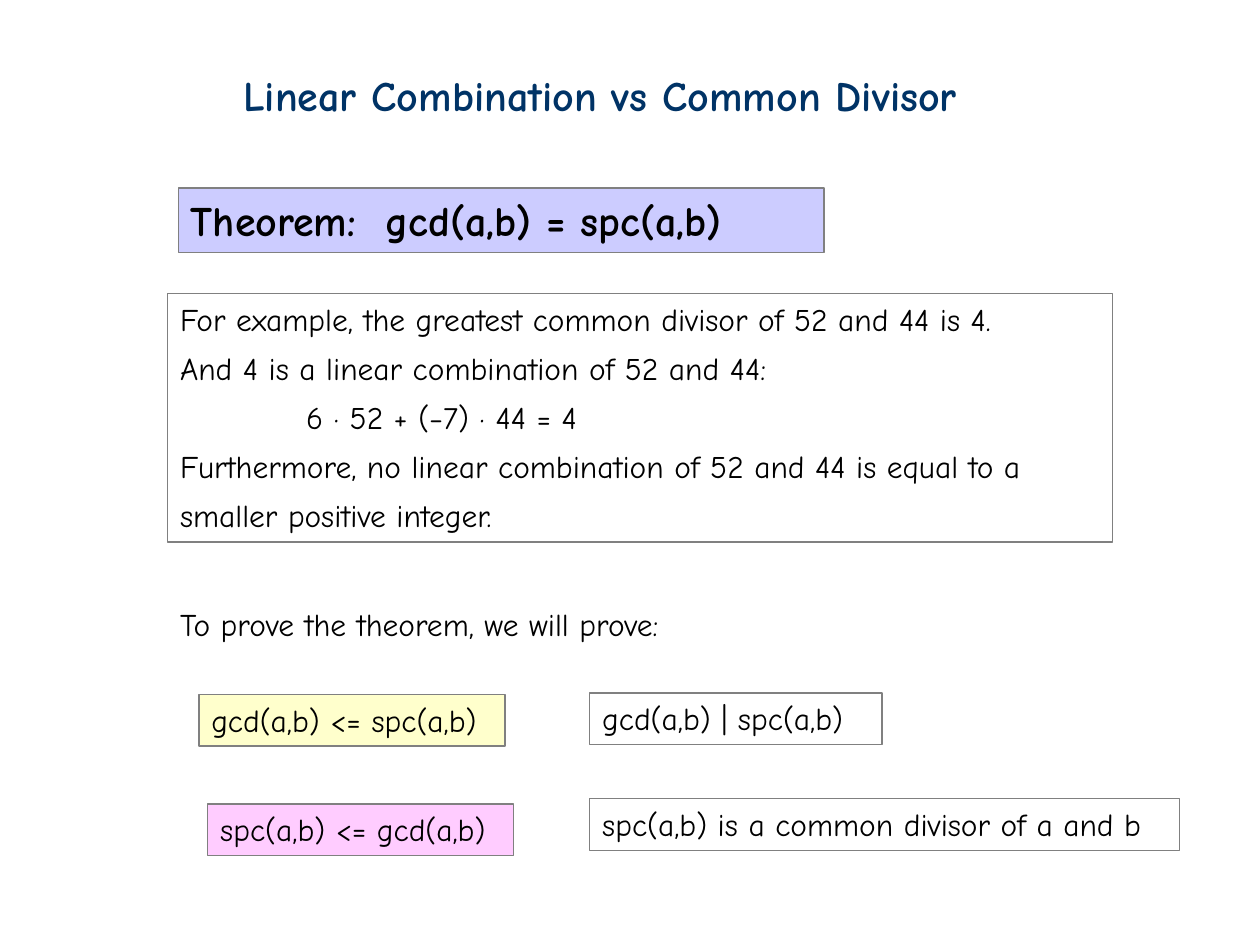
import pptx
import pptx.dml.color
import pptx.enum.shapes
import pptx.enum.text
import pptx.oxml
import pptx.oxml.ns
import pptx.util
from pptx.util import Cm

FONT = "Comic Neue"
BLACK = "000000"
GREY = "808080"
NAVY = "003366"
LILAC = "CCCCFF"
YELLOW = "FFFFCC"
PINK = "FFCCFF"
EXAMPLE = [
    "For example, the greatest common divisor of 52 and 44 is 4.",
    "And 4 is a linear combination of 52 and 44:",
    "6 · 52 + (−7) · 44 = 4",
    "Furthermore, no linear combination of 52 and 44 is equal to a smaller positive integer.",
]


def rgb(value):
    """Return the colour for a hex string."""
    return pptx.dml.color.RGBColor.from_string(value)


def place(shape, left, top, width, height):
    """Set the position and size of a shape in centimetres."""
    shape.left, shape.top = Cm(left), Cm(top)
    shape.width, shape.height = Cm(width), Cm(height)


def write(shape, lines, size=18, color=BLACK, bold=False):
    """Fill a shape with left-aligned paragraphs set from the top."""
    frame = shape.text_frame
    frame.text = "\n".join(lines)
    frame.word_wrap = True
    frame.auto_size = pptx.enum.text.MSO_AUTO_SIZE.NONE
    frame.vertical_anchor = pptx.enum.text.MSO_ANCHOR.TOP
    for para in frame.paragraphs:
        para.alignment = pptx.enum.text.PP_ALIGN.LEFT
        for span in para.runs:
            span.font.name = FONT
            span.font.size = pptx.util.Pt(size)
            span.font.bold = bold
            span.font.color.rgb = rgb(color)


def add_title(page, text):
    """Place and format the title placeholder."""
    title = page.shapes.title
    place(title, 4.65, 1.27, 16.05, 1.27)
    write(title, [text], size=24, color=NAVY, bold=True)
    para = title.text_frame.paragraphs[0]
    para.line_spacing = 1.0
    para.space_before = pptx.util.Pt(0)


def add_box(page, area, lines, fill=None, **style):
    """Add a thinly outlined rectangle with text."""
    box = page.shapes.add_shape(
        pptx.enum.shapes.MSO_SHAPE.RECTANGLE, *(Cm(value) for value in area))
    box.shadow.inherit = False
    if fill:
        box.fill.solid()
        box.fill.fore_color.rgb = rgb(fill)
    else:
        box.fill.background()
    box.line.color.rgb = rgb(GREY)
    box.line.width = pptx.util.Pt(0.75)
    write(box, lines, **style)
    return box


def add_label(page, area, text):
    """Add a plain line of text."""
    label = page.shapes.add_textbox(*(Cm(value) for value in area))
    write(label, [text])


def set_tab(para, position):
    """Give a paragraph one left tab stop."""
    tabs = pptx.oxml.parse_xml(
        f'<a:tabLst {pptx.oxml.ns.nsdecls("a")}>'
        f'<a:tab pos="{Cm(position)}" algn="l"/></a:tabLst>')
    para._p.get_or_add_pPr().append(tabs)


def add_theorem(page):
    """Add the statement of the theorem."""
    box = add_box(page, (3.6, 3.79, 13.01, 1.3),
                  ["Theorem:\tgcd(a,b) = spc(a,b)"], LILAC, size=24, bold=True)
    set_tab(box.text_frame.paragraphs[0], 3.92)


def add_example(page):
    """Add the worked example with its indented equation."""
    box = add_box(page, (3.38, 5.92, 19.05, 5.01), EXAMPLE)
    paras = box.text_frame.paragraphs
    for para in paras[1:]:
        para.line_spacing = 1.3
    paras[2]._p.get_or_add_pPr().set("marL", str(Cm(2.54)))


def main():
    """Build the slide and save the deck."""
    deck = pptx.Presentation()
    deck.slide_width, deck.slide_height = Cm(25.4), Cm(19.05)
    page = deck.slides.add_slide(deck.slide_layouts[5])
    add_title(page, "Linear Combination vs Common Divisor")
    add_theorem(page)
    add_example(page)
    add_label(page, (3.38, 12.07, 11.3, 1.02), "To prove the theorem, we will prove:")
    claims = [
        (4.01, 14.0, 6.17, "gcd(a,b) <= spc(a,b)", YELLOW),
        (4.19, 16.21, 6.17, "spc(a,b) <= gcd(a,b)", PINK),
        (11.89, 13.97, 5.89, "gcd(a,b) | spc(a,b)", None),
        (11.89, 16.1, 11.89, "spc(a,b) is a common divisor of a and b", None),
    ]
    for left, top, width, text, fill in claims:
        add_box(page, (left, top, width, 1.04), [text], fill)
    deck.save("out.pptx")


if __name__ == "__main__":
    main()
